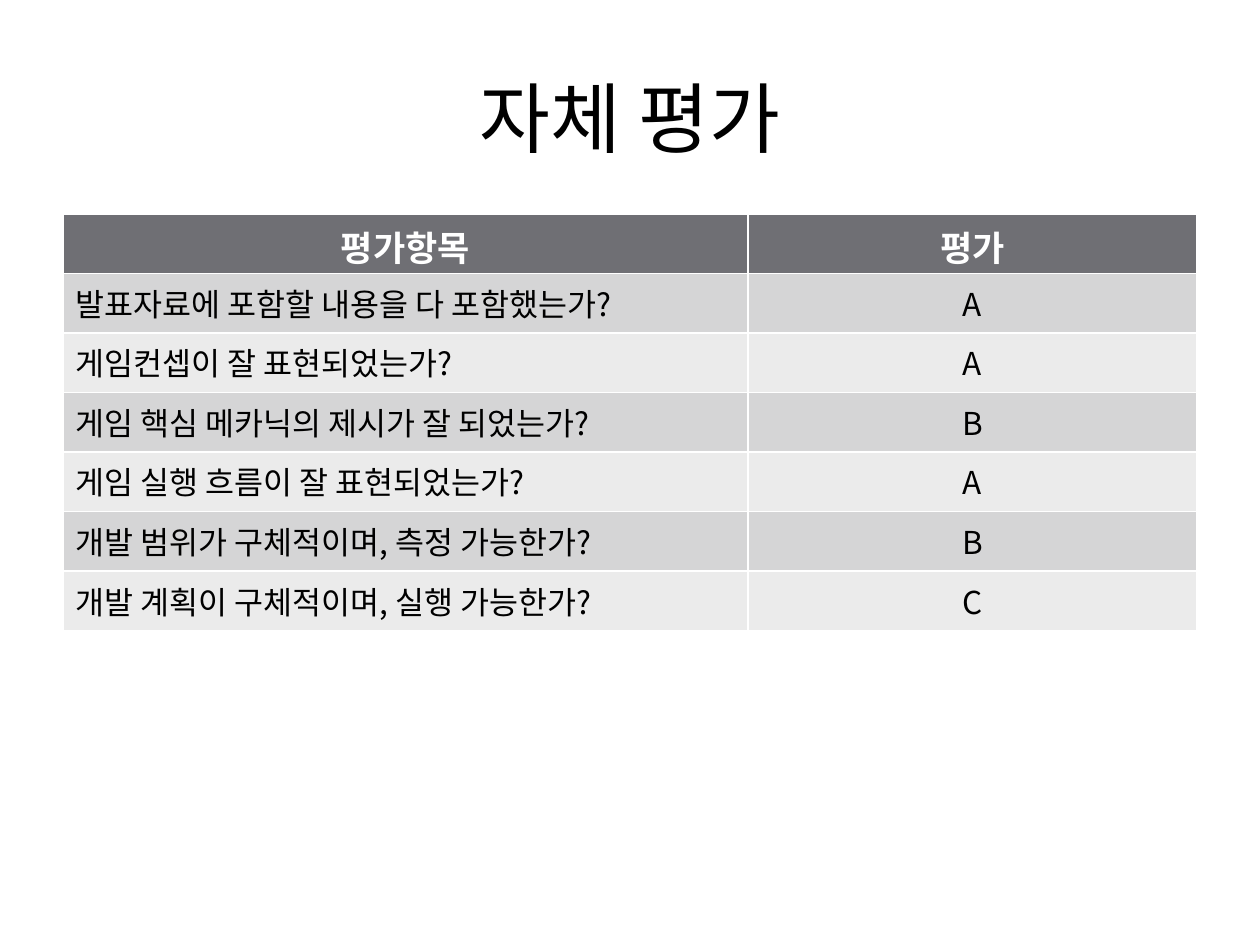
import pptx
import pptx.dml.color
import pptx.enum.text
import pptx.oxml
import pptx.oxml.ns
import pptx.util

ALIGN = pptx.enum.text.PP_ALIGN
ANCHOR = pptx.enum.text.MSO_ANCHOR


def color(hex_value):
    return pptx.dml.color.RGBColor.from_string(hex_value)


def px(length):
    return pptx.util.Emu(round(length * 914400 / 126))


class SlideBuilder:
    font = "Noto Sans CJK KR"
    title_format = {"size": pptx.util.Pt(44), "bold": False}
    header_format = {"size": pptx.util.Pt(20), "bold": True}
    body_format = {"size": pptx.util.Pt(18), "bold": False}
    white, black = "FFFFFF", "000000"
    header_fill = "6F6F74"
    band_fills = ("D5D5D6", "EBEBEB")

    def __init__(self, slide):
        self.slide = slide

    def put_text(self, frame, wording, text_format, text_color, align):
        paragraph = frame.paragraphs[0]
        paragraph.alignment = align
        run = paragraph.add_run()
        run.text = wording
        for name, value in {"name": self.font, **text_format}.items():
            setattr(run.font, name, value)
        run.font.color.rgb = color(text_color)
        # Korean letters take the East Asian typeface
        east_asian = pptx.oxml.parse_xml(
            f'<a:ea {pptx.oxml.ns.nsdecls("a")} typeface="{self.font}"/>')
        run.font._element.find(pptx.oxml.ns.qn("a:latin")).addnext(east_asian)

    def title(self, wording, left, top, width, height):
        box = self.slide.shapes.add_textbox(px(left), px(top), px(width), px(height))
        frame = box.text_frame
        for name, value in {"word_wrap": True, "vertical_anchor": ANCHOR.MIDDLE}.items():
            setattr(frame, name, value)
        self.put_text(frame, wording, self.title_format, self.black, ALIGN.CENTER)

    def border(self, cell):
        for index, side in enumerate(("lnL", "lnR", "lnT")):
            line = pptx.oxml.parse_xml(
                f'<a:{side} {pptx.oxml.ns.nsdecls("a")} w="12700"><a:solidFill>'
                f'<a:srgbClr val="{self.white}"/></a:solidFill></a:{side}>')
            cell._tc.get_or_add_tcPr().insert(index, line)

    def table(self, rows, left, top, column_widths, height):
        table = self.slide.shapes.add_table(
            len(rows), len(column_widths), px(left), px(top),
            px(sum(column_widths)), px(height)).table
        for column, width in zip(table.columns, column_widths):
            column.width = px(width)
        for row_index, row in enumerate(rows):
            is_header = row_index == 0
            fill = self.header_fill if is_header else self.band_fills[(row_index - 1) % 2]
            text_format = self.header_format if is_header else self.body_format
            text_color = self.white if is_header else self.black
            for column_index, wording in enumerate(row):
                cell = table.cell(row_index, column_index)
                cell.fill.solid()
                cell.fill.fore_color.rgb = color(fill)
                centred = is_header or column_index == 1
                self.put_text(cell.text_frame, wording, text_format, text_color,
                              ALIGN.CENTER if centred else ALIGN.LEFT)
                if is_header:
                    self.border(cell)


def main():
    presentation = pptx.Presentation()
    presentation.slide_width, presentation.slide_height = px(1260), px(945)
    builder = SlideBuilder(presentation.slides.add_slide(presentation.slide_layouts[6]))

    # Heading
    builder.title("자체 평가", 63, 38, 1134, 157)

    # Evaluation items and grades
    evaluation = [
        ("평가항목", "평가"),
        ("발표자료에 포함할 내용을 다 포함했는가?", "A"),
        ("게임컨셉이 잘 표현되었는가?", "A"),
        ("게임 핵심 메카닉의 제시가 잘 되었는가?", "B"),
        ("게임 실행 흐름이 잘 표현되었는가?", "A"),
        ("개발 범위가 구체적이며, 측정 가능한가?", "B"),
        ("개발 계획이 구체적이며, 실행 가능한가?", "C"),
    ]
    builder.table(evaluation, 63, 214, (685, 449), 417)

    presentation.save("out.pptx")


if __name__ == "__main__":
    main()
